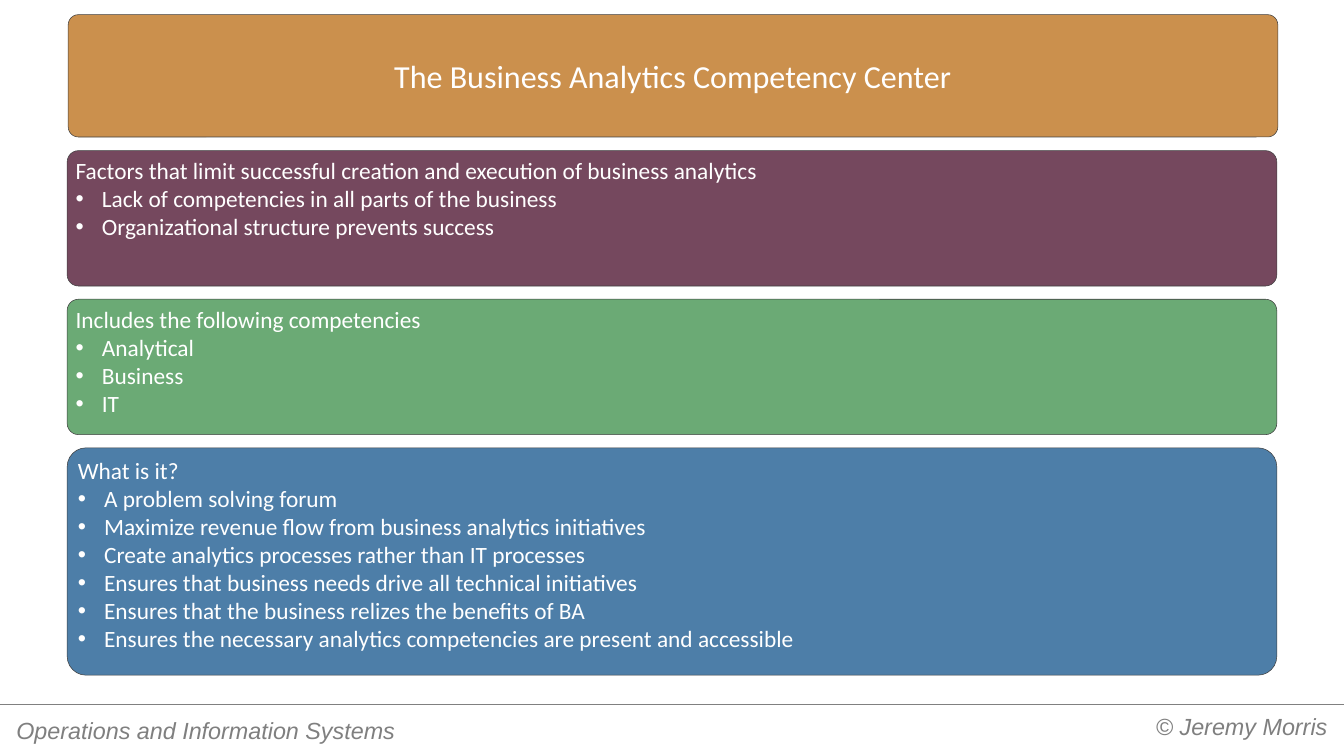
from lxml.etree import SubElement
from pptx import Presentation
from pptx.dml.color import RGBColor
from pptx.enum.shapes import MSO_CONNECTOR, MSO_SHAPE
from pptx.enum.text import MSO_ANCHOR, MSO_AUTO_SIZE, PP_ALIGN
from pptx.oxml.ns import qn
from pptx.util import Cm, Pt

INK = {"title": "CB904D", "limits": "75485E", "skills": "6BAA75", "forum": "4D7EA8",
       "edge": "404040", "text": "FFFFFF", "foot": "7F7F7F", "rule": "808080"}


def write(frame, lines, size=32, font="Calibri", ink="text", italic=False,
          align=PP_ALIGN.LEFT, anchor=MSO_ANCHOR.TOP, pad=(0.25, 0.13)):
    """Fill a text frame; every line after the first is a bullet."""
    frame.word_wrap = True
    frame.auto_size = MSO_AUTO_SIZE.NONE
    frame.vertical_anchor = anchor
    frame.margin_left = frame.margin_right = Cm(pad[0])
    frame.margin_top = frame.margin_bottom = Cm(pad[1])
    for i, line in enumerate(lines):
        para = frame.paragraphs[0] if i == 0 else frame.add_paragraph()
        props = para._p.get_or_add_pPr()
        props.set("marL", str(Cm(1.27) if i else 0))
        props.set("indent", str(Cm(-1.27) if i else 0))
        if i:
            SubElement(props, qn("a:buFont")).set("typeface", "Arial")
            SubElement(props, qn("a:buChar")).set("char", "•")
        else:
            SubElement(props, qn("a:buNone"))
        para.alignment = align
        para.space_before = Pt(0)
        run = para.add_run()
        run.text = line
        run.font.name, run.font.size = font, Pt(size)
        run.font.bold, run.font.italic = False, italic
        run.font.color.rgb = RGBColor.from_string(INK[ink])


deck = Presentation()
deck.slide_width, deck.slide_height = Cm(65.02), Cm(36.58)
slide = deck.slides.add_slide(deck.slide_layouts[4])
shapes = slide.shapes

# Footer
rule = shapes.add_connector(MSO_CONNECTOR.STRAIGHT, 0, Cm(34.06), deck.slide_width, Cm(34.06))
rule.line.color.rgb = RGBColor.from_string(INK["rule"])
rule.line.width = Pt(0.75)
SubElement(rule._element.spPr, qn("a:effectLst"))
for text, x, y, w, h, align in [
        ("© Jeremy Morris", 37.03, 34.24, 27.66, 3.2, PP_ALIGN.RIGHT),
        ("Operations and Information Systems", 0.33, 34.44, 22.23, 1.83, PP_ALIGN.LEFT)]:
    box = shapes.add_textbox(Cm(x), Cm(y), Cm(w), Cm(h))
    write(box.text_frame, [text], font="Arial", ink="foot", italic=True,
          align=align, pad=(0.46, 0.23))

# Panels: colour, left, top, height, lines
wide, gap, tall, top = 58.52, 0.64, 6.55, 7.29
panels = [
    ("title", 3.3, 0.71, 5.92, ["The Business Analytics Competency Center"]),
    ("limits", 3.25, top, tall, [
        "Factors that limit successful creation and execution of business analytics",
        "Lack of competencies in all parts of the business",
        "Organizational structure prevents success"]),
    ("skills", 3.25, top + tall + gap, tall, [
        "Includes the following competencies", "Analytical", "Business", "IT"]),
    ("forum", 3.25, top + 2 * (tall + gap), 11, [
        "What is it?",
        "A problem solving forum",
        "Maximize revenue flow from business analytics initiatives",
        "Create analytics processes rather than IT processes",
        "Ensures that business needs drive all technical initiatives",
        "Ensures that the business relizes the benefits of BA",
        "Ensures the necessary analytics competencies are present and accessible"]),
]
holders = list(slide.placeholders)
for holder, (name, x, y, h, lines) in zip(holders, panels):
    spot = Cm(x), Cm(y), Cm(wide), Cm(h)
    panel = shapes.add_shape(MSO_SHAPE.ROUNDED_RECTANGLE, *spot)
    panel.adjustments[0] = 0.083
    panel.shadow.inherit = False
    panel.fill.solid()
    panel.fill.fore_color.rgb = RGBColor.from_string(INK[name])
    panel.line.color.rgb = RGBColor.from_string(INK["edge"])
    panel.line.width = Pt(0.75)

    # Text sits on its panel, clear of the round corners
    holder.left, holder.top, holder.width, holder.height = spot
    holder._element.addprevious(panel._element)
    curve = 0.29 * 0.083 * h
    look = {"pad": (0.25 + curve, 0.13 + curve)}
    if name == "title":
        look.update(size=44, align=PP_ALIGN.CENTER, anchor=MSO_ANCHOR.MIDDLE)
    write(holder.text_frame, lines, **look)

# Spare placeholders
for spare in holders[len(panels):]:
    spare._element.getparent().remove(spare._element)

deck.save("out.pptx")
